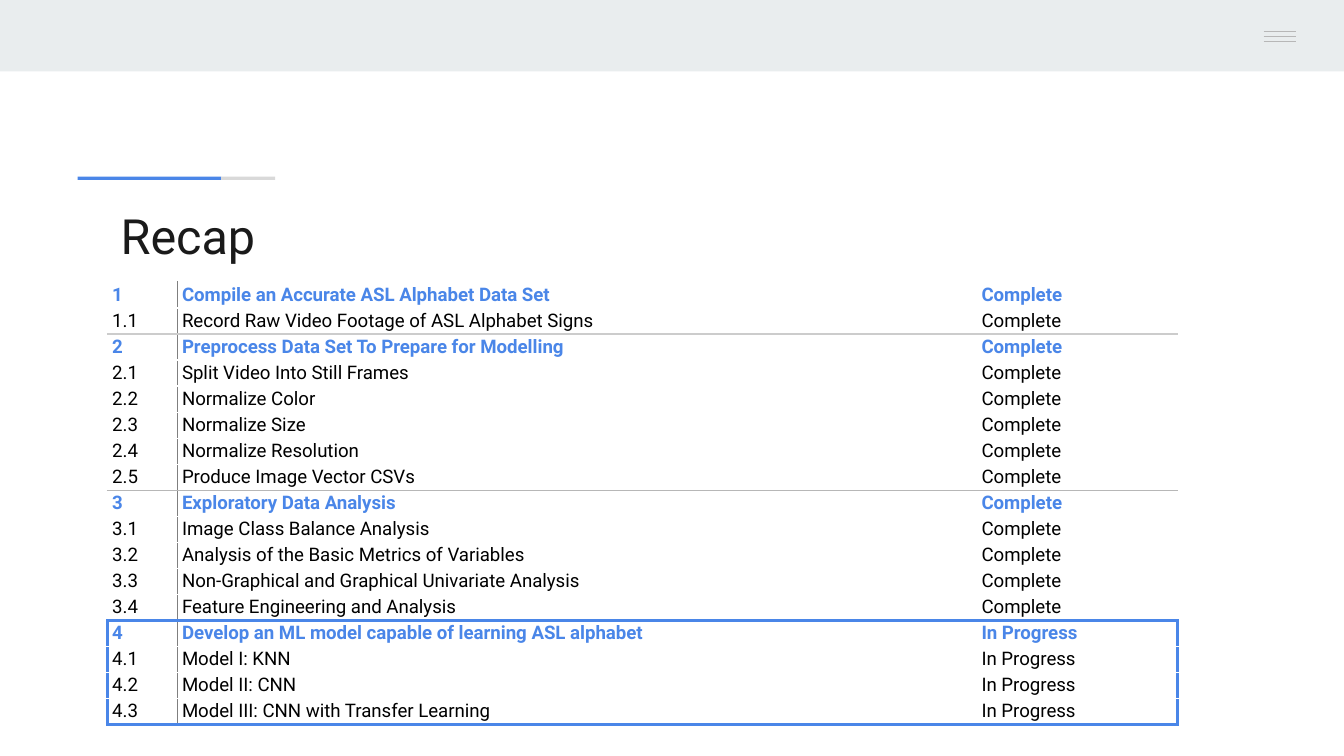
from lxml.etree import SubElement
from pptx import Presentation
from pptx.dml.color import RGBColor
from pptx.enum.shapes import MSO_CONNECTOR, MSO_SHAPE
from pptx.enum.text import MSO_ANCHOR, PP_ALIGN
from pptx.oxml import parse_xml
from pptx.oxml.ns import nsdecls, qn
from pptx.util import Cm, Pt

COLORS = {
    "band": "E9EDEE", "accent": "4A86E8", "track": "D9D9D9", "menu": "B7B7B7",
    "title": "1A1A1A", "text": "000000", "white": "FFFFFF", "divider": "7F7F7F",
    "light_rule": "CCCCCC", "dark_rule": "B7B7B7",
}
FONT = "Roboto"
THIN, THICK = 0.75, 1.5
TITLE = "Recap"
SECTIONS = [
    ("Compile an Accurate ASL Alphabet Data Set", "Complete", ("white", THIN), [
        "Record Raw Video Footage of ASL Alphabet Signs",
    ]),
    ("Preprocess Data Set To Prepare for Modelling", "Complete", ("light_rule", THIN), [
        "Split Video Into Still Frames",
        "Normalize Color",
        "Normalize Size",
        "Normalize Resolution",
        "Produce Image Vector CSVs",
    ]),
    ("Exploratory Data Analysis", "Complete", ("dark_rule", THIN), [
        "Image Class Balance Analysis",
        "Analysis of the Basic Metrics of Variables",
        "Non-Graphical and Graphical Univariate Analysis",
        "Feature Engineering and Analysis",
    ]),
    ("Develop an ML model capable of learning ASL alphabet", "In Progress", ("accent", THICK), [
        "Model I: KNN",
        "Model II: CNN",
        "Model III: CNN with Transfer Learning",
    ]),
]
BARS = [
    (0, 0, 25.4, 1.35, "band"),
    (1.47, 3.34, 2.71, 0.06, "accent"),
    (4.18, 3.34, 1.02, 0.06, "track"),
]
MENU_LEFT, MENU_RIGHT, MENU_TOP, MENU_GAP = 23.88, 24.49, 0.6, 0.09
TABLE_LEFT, TABLE_TOP, TABLE_HEIGHT = 2.03, 5.33, 8.38
COLUMN_WIDTHS = [1.32, 15.11, 3.79]


def rgb(name):
    return RGBColor.from_string(COLORS[name])


def apply(target, values):
    for name, value in values.items():
        setattr(target, name, value)


def style_font(font, size, color, bold=False):
    apply(font, {"name": FONT, "size": Pt(size), "bold": bold})
    font.color.rgb = rgb(color)


def add_bar(slide, left, top, width, height, color):
    bar = slide.shapes.add_shape(MSO_SHAPE.RECTANGLE, Cm(left), Cm(top), Cm(width), Cm(height))
    bar.shadow.inherit = False
    bar.fill.solid()
    bar.fill.fore_color.rgb = rgb(color)
    bar.line.fill.background()


def add_menu_line(slide, top):
    line = slide.shapes.add_connector(
        MSO_CONNECTOR.STRAIGHT, Cm(MENU_LEFT), Cm(top), Cm(MENU_RIGHT), Cm(top))
    line.line.color.rgb = rgb("menu")
    line.line.width = Pt(THIN)
    SubElement(line._element.spPr, qn("a:effectLst"))


def add_title(slide):
    title = slide.shapes.title
    apply(title, {"left": Cm(2.03), "top": Cm(3.66), "width": Cm(10.11), "height": Cm(1.57)})
    frame = title.text_frame
    frame.text = TITLE
    margins = dict.fromkeys(
        ["margin_left", "margin_top", "margin_right", "margin_bottom"], Cm(0.25))
    apply(frame, {**margins, "vertical_anchor": MSO_ANCHOR.MIDDLE, "word_wrap": True})
    frame.paragraphs[0].alignment = PP_ALIGN.LEFT
    style_font(frame.paragraphs[0].font, 26, "title")


def table_rows():
    rows = []
    for number, (heading, status, rule, items) in enumerate(SECTIONS, 1):
        rows.append(((str(number), heading, status), True, rule, number))
        for step, item in enumerate(items, 1):
            rows.append(((f"{number}.{step}", item, status), False, ("white", THIN), number))
    return rows


def set_borders(cell, borders):
    properties = cell._tc.get_or_add_tcPr()
    for index, (side, (color, width)) in enumerate(borders.items()):
        properties.insert(index, parse_xml(
            f'<a:ln{side} {nsdecls("a")} w="{Pt(width)}"><a:solidFill>'
            f'<a:srgbClr val="{COLORS[color]}"/></a:solidFill></a:ln{side}>'))


def fill_cell(cell, text, heading):
    cell.text = text
    apply(cell, {"margin_left": Cm(0.09), "margin_right": 0, "margin_top": 0,
                 "margin_bottom": 0, "vertical_anchor": MSO_ANCHOR.MIDDLE})
    cell.fill.solid()
    cell.fill.fore_color.rgb = rgb("white")
    style_font(cell.text_frame.paragraphs[0].font, 10, "accent" if heading else "text", heading)


def add_recap_table(slide):
    rows = table_rows()
    table = slide.shapes.add_table(
        len(rows), len(COLUMN_WIDTHS), Cm(TABLE_LEFT), Cm(TABLE_TOP),
        Cm(sum(COLUMN_WIDTHS)), Cm(TABLE_HEIGHT)).table
    apply(table, {"first_row": False, "horz_banding": False})
    for column, width in zip(table.columns, COLUMN_WIDTHS):
        column.width = Cm(width)
    frame_line, plain, divider = ("accent", THICK), ("white", THIN), ("divider", THIN)
    for index, (texts, heading, above, section) in enumerate(rows):
        table.rows[index].height = Cm(TABLE_HEIGHT) // len(rows)
        below = rows[index + 1][2] if index + 1 < len(rows) else frame_line
        outer = frame_line if section == len(SECTIONS) else plain
        verticals = [outer, divider, plain, outer]
        for position, text in enumerate(texts):
            cell = table.cell(index, position)
            fill_cell(cell, text, heading)
            set_borders(cell, {"L": verticals[position], "R": verticals[position + 1],
                               "T": above, "B": below})


def main():
    deck = Presentation()
    apply(deck, {"slide_width": Cm(25.4), "slide_height": Cm(14.29)})
    slide = deck.slides.add_slide(deck.slide_layouts[5])
    for bar in BARS:
        add_bar(slide, *bar)
    for index in range(3):
        add_menu_line(slide, MENU_TOP + index * MENU_GAP)
    add_title(slide)
    add_recap_table(slide)
    deck.save("out.pptx")


if __name__ == "__main__":
    main()
